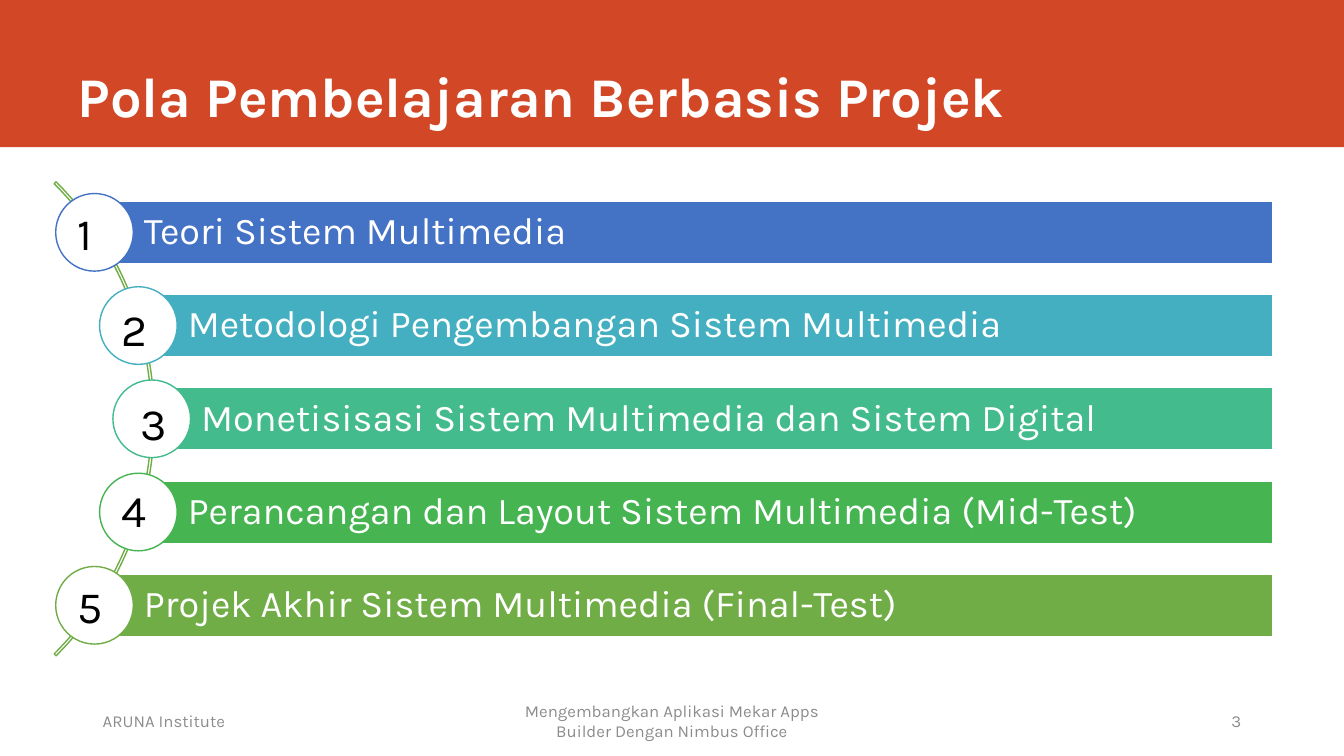
import math
from pptx import Presentation
from pptx import util as u
from pptx.dml import color
from pptx.enum import shapes, text

rgb = color.RGBColor.from_string
kind = shapes.MSO_SHAPE
mid = text.MSO_ANCHOR.MIDDLE
left, center, right = text.PP_ALIGN.LEFT, text.PP_ALIGN.CENTER, text.PP_ALIGN.RIGHT

deck = Presentation()
deck.slide_width, deck.slide_height = u.Inches(13.33), u.Inches(7.5)
slide = deck.slides.add_slide(deck.slide_layouts[5])


def draw(form, x, y, w, h, fill=None, line=None):
    shape = slide.shapes.add_shape(form, *map(u.Inches, (x, y, w, h)))
    shape.shadow.inherit = False
    if fill:
        shape.fill.solid()
        shape.fill.fore_color.rgb = rgb(fill)
    else:
        shape.fill.background()
    if line:
        shape.line.color.rgb = rgb(line)
        shape.line.width = u.Pt(1)
    else:
        shape.line.fill.background()
    return shape


def write(shape, words, size, tint, align=left, anchor=mid, wrap=True):
    frame = shape.text_frame
    frame.text = words
    frame.word_wrap = wrap
    frame.vertical_anchor = anchor
    par = frame.paragraphs[0]
    par.alignment = align
    par.font.name = "Karla"
    par.font.size = u.Pt(size)
    par.font.color.rgb = rgb(tint)
    return par


band = draw(kind.RECTANGLE, 0, 0, 13.33, 1.46, "D24726")
title = slide.shapes.title
title.element.addprevious(band.element)
title.left, title.top = u.Inches(0.67), u.Inches(0)
title.width, title.height = u.Inches(11.75), u.Inches(1.34)
head = write(title, "Pola Pembelajaran Berbasis Projek", 40, "FFFFFF",
             anchor=text.MSO_ANCHOR.BOTTOM)
head.font.bold = True
head.line_spacing = 0.9
title.text_frame.auto_size = text.MSO_AUTO_SIZE.NONE

for x, w, words, align in (
    (0.92, 3.58, "ARUNA Institute", left),
    (5.08, 3.17, "Mengembangkan Aplikasi Mekar Apps Builder Dengan Nimbus Office", center),
    (8.83, 3.58, "3", right),
):
    box = slide.shapes.add_textbox(*map(u.Inches, (x, 6.95, w, 0.4)))
    write(box, words, 12, "8C8C8C", align)

arc = draw(kind.BLOCK_ARC, -5.12, 0.83, 6.65, 6.65, line="70AD47")
for i, value in enumerate((189, 27, 0.004)):
    arc.adjustments[i] = value

steps = (
    ("Teori Sistem Multimedia", "4472C4", 0.67, 1.99),
    ("Metodologi Pengembangan Sistem Multimedia", "43AFC0", 1.11, 2.94),
    ("Monetisisasi Sistem Multimedia dan Sistem Digital", "43BB8D", 1.3, 3.88),
    ("Perancangan dan Layout Sistem Multimedia (Mid-Test)", "45B451", 1.11, 4.74),
    ("Projek Akhir Sistem Multimedia (Final-Test)", "70AD47", 0.67, 5.69),
)
for i, (words, tint, x, y) in enumerate(steps):
    drop = (i - 2) * 0.925
    hub = math.sqrt(3.3 ** 2 - drop ** 2) - 1.795
    row = 4.155 + drop
    bar = draw(kind.RECTANGLE, hub, row - 0.31, 12.62 - hub, 0.62, tint, "FFFFFF")
    write(bar, words, 27, "FFFFFF").line_spacing = 0.9
    frame = bar.text_frame
    frame.margin_left = u.Inches(0.49)
    frame.margin_top = frame.margin_right = frame.margin_bottom = u.Inches(0.07)
    draw(kind.OVAL, hub - 0.385, row - 0.385, 0.77, 0.77, "FFFFFF", tint)
    box = slide.shapes.add_textbox(*map(u.Inches, (x, y, 0.44, 0.64)))
    write(box, str(i + 1), 32, "000000", anchor=text.MSO_ANCHOR.TOP, wrap=False)
    box.text_frame.auto_size = text.MSO_AUTO_SIZE.SHAPE_TO_FIT_TEXT

deck.save("out.pptx")
